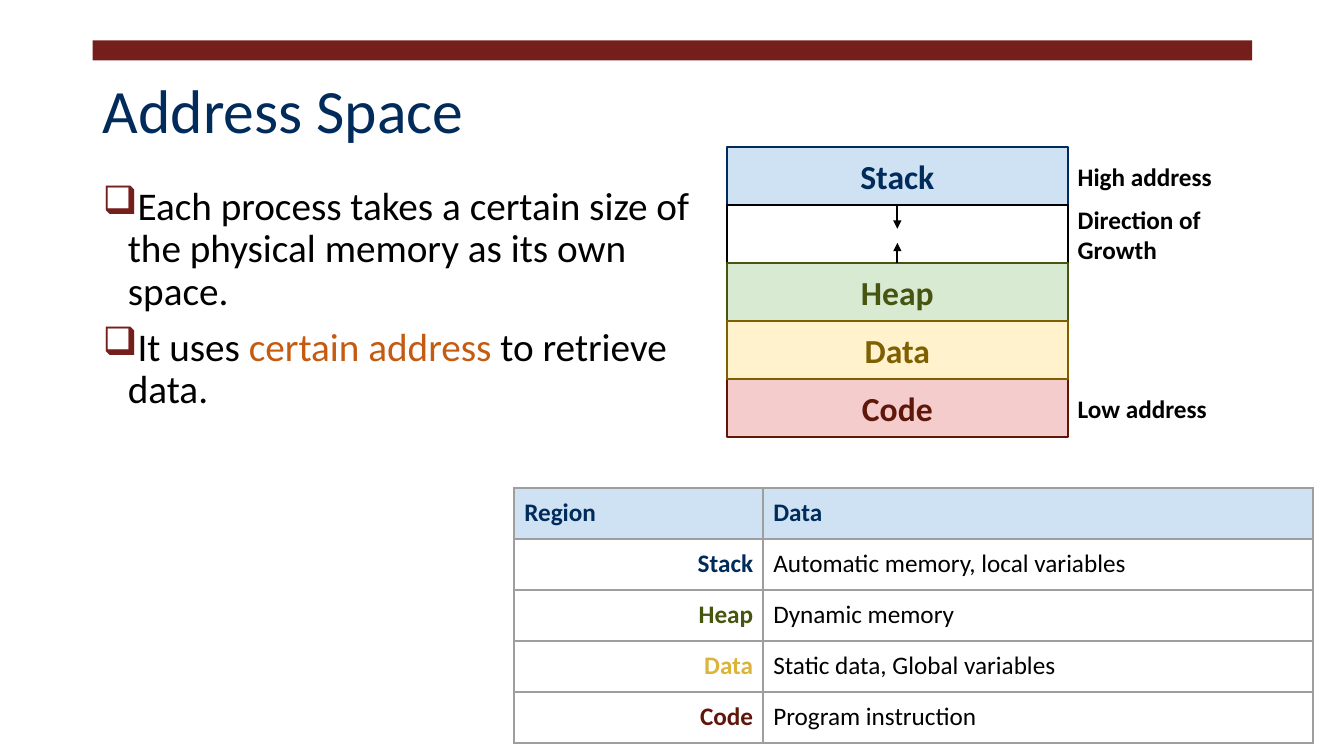
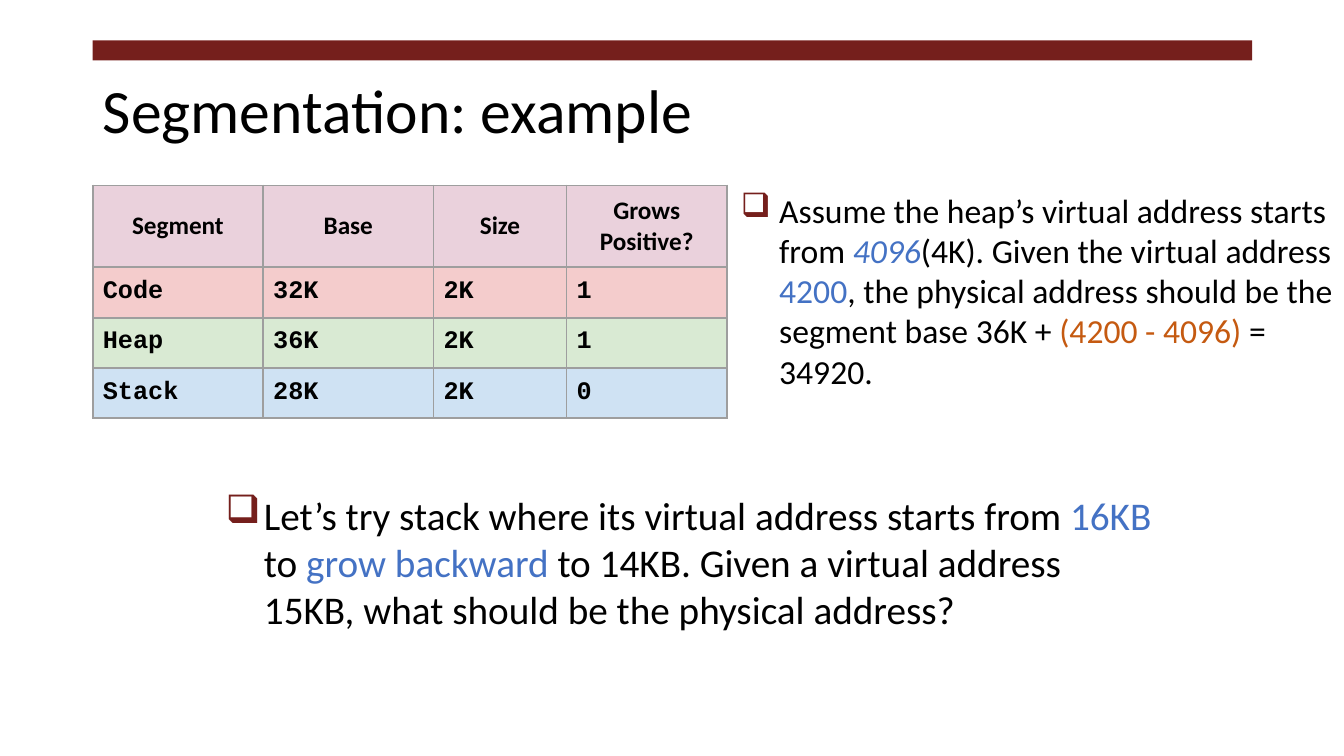
"""Build two slides on process address space and memory segmentation."""
from lxml import etree
from pptx import Presentation
from pptx.dml.color import RGBColor
from pptx.enum.shapes import MSO_CONNECTOR, MSO_SHAPE
from pptx.enum.text import MSO_ANCHOR, MSO_AUTO_SIZE, PP_ALIGN
from pptx.oxml.ns import qn
from pptx.util import Inches, Pt

LEFT, CENTER, RIGHT = PP_ALIGN.LEFT, PP_ALIGN.CENTER, PP_ALIGN.RIGHT
TOP, MIDDLE = MSO_ANCHOR.TOP, MSO_ANCHOR.MIDDLE
RECT, STRAIGHT = MSO_SHAPE.RECTANGLE, MSO_CONNECTOR.STRAIGHT
NO_FIT = MSO_AUTO_SIZE.NONE

BLACK, NAVY, MAROON, GRAY = "000000", "002B5B", "751F1C", "9E9E9E"
ORANGE, BLUE, PINK = "C55A11", "4472C4", "EAD1DC"
OLIVE, BROWN, GOLD, DARK_RED = "465510", "7F6000", "DCB439", "5F1709"
SKY, GREEN, CREAM, ROSE = "CFE2F3", "D9EAD3", "FFF2CC", "F4CCCC"
MARGIN, BAND_TOP, BAND_W = 0.92, 0.4, 11.5
MAP_X, MAP_Y, MAP_W, MAP_ROW = 7.21, 1.46, 3.38, 0.575
PAD = Inches(0.1)


def rgb(code):
    """Return the colour of a hex string."""
    return RGBColor.from_string(code)


def write(tf, *paras, size=18, color=BLACK, bold=False, font="Calibri", align=LEFT,
          anchor=TOP, pad=PAD, spacing=None, before=0, indent=0):
    """Fill a text frame; a paragraph is a string or a list of (text, colour, italic) runs."""
    tf.word_wrap = True
    tf.auto_size = NO_FIT
    tf.vertical_anchor = anchor
    tf.margin_left = tf.margin_right = PAD
    tf.margin_top = tf.margin_bottom = pad
    for i, runs in enumerate(paras):
        p = tf.add_paragraph() if i else tf.paragraphs[0]
        p.alignment = align
        p.space_before = Pt(before)
        if spacing:
            p.line_spacing = spacing
        if indent:
            pPr = p._p.get_or_add_pPr()
            pPr.set("marL", str(Inches(indent)))
            pPr.set("indent", str(-Inches(indent)))
            bu_color = etree.SubElement(pPr, qn("a:buClr"))
            etree.SubElement(bu_color, qn("a:srgbClr"), val=MAROON)
            etree.SubElement(pPr, qn("a:buChar"), char="❑")
        for text, run_color, italic in [(runs, color, False)] if isinstance(runs, str) else runs:
            r = p.add_run()
            r.text = text
            r.font.name, r.font.size = font, Pt(size)
            r.font.bold, r.font.italic = bold, italic
            r.font.color.rgb = rgb(run_color)


prs = Presentation()
prs.slide_width, prs.slide_height = Inches(13.33), Inches(7.5)
layout = prs.slide_layouts[5]

slides = []
for title, color in [("Address Space", NAVY), ("Segmentation: example", BLACK)]:
    s = prs.slides.add_slide(layout)
    sp = s.shapes.title
    sp.left, sp.top = Inches(MARGIN), Inches(BAND_TOP)
    sp.width, sp.height = Inches(BAND_W), Inches(1.45)
    write(sp.text_frame, title, size=44, color=color, anchor=MIDDLE, spacing=0.9)
    slides.append(s)
space, segments = slides

band = space.shapes.add_shape(RECT, Inches(MARGIN), Inches(BAND_TOP), Inches(BAND_W), Inches(0.2))
band.shadow.inherit = False
band.fill.solid()
band.fill.fore_color.rgb = rgb(MAROON)
band.line.fill.background()
layout.shapes.element.append(band.element)

bullets = [
    (space, (MARGIN, 1.75, 6.12, 5.35),
     ["Each process takes a certain size of the physical memory as its own space.",
      [("It uses ", BLACK, False), ("certain address", ORANGE, False),
       (" to retrieve data.", BLACK, False)]],
     dict(size=28, spacing=0.9, before=10, indent=0.25)),
    (segments, (7.25, 1.83, 6.09, 2.12),
     [[("Assume the heap’s virtual address starts from ", BLACK, False), ("4096", BLUE, True),
       ("(4K). Given the virtual address ", BLACK, False), ("4200", BLUE, False),
       (", the physical address should be the segment base 36K + ", BLACK, False),
       ("(4200 - 4096) ", ORANGE, False), ("= 34920.", BLACK, False)]],
     dict(size=24, pad=Inches(0.05), indent=0.38)),
    (segments, (2.14, 4.82, 9.43, 1.51),
     [[("Let’s try stack where its virtual address starts from ", BLACK, False),
       ("16KB ", BLUE, False), ("to ", BLACK, False), ("grow backward ", BLUE, False),
       ("to 14KB. Given a virtual address 15KB, what should be the physical address?",
        BLACK, False)]],
     dict(size=28, pad=Inches(0.05), indent=0.38)),
]
for s, box, paras, style in bullets:
    sp = s.shapes.add_textbox(*map(Inches, box))
    write(sp.text_frame, *paras, **style)

regions = {}
for row, name, fill, ink in [(0, "Stack", SKY, NAVY), (1, "", None, BLACK),
                             (2, "Heap", GREEN, OLIVE), (4, "Code", ROSE, DARK_RED),
                             (3, "Data", CREAM, BROWN)]:
    sp = space.shapes.add_shape(RECT, Inches(MAP_X), Inches(MAP_Y + row * MAP_ROW),
                                Inches(MAP_W), Inches(MAP_ROW))
    sp.shadow.inherit = False
    sp.line.color.rgb, sp.line.width = rgb(ink), Pt(1.5)
    if fill:
        sp.fill.solid()
        sp.fill.fore_color.rgb = rgb(fill)
        write(sp.text_frame, name, size=24, color=ink, bold=True, align=CENTER, anchor=MIDDLE)
    else:
        sp.fill.background()
    regions[name] = sp

for row, label in [(0, "High address"), (1, "Direction of Growth"), (4, "Low address")]:
    sp = space.shapes.add_textbox(Inches(MAP_X + MAP_W), Inches(MAP_Y + row * MAP_ROW),
                                  Inches(2.24), Inches(MAP_ROW))
    write(sp.text_frame, label, bold=True, anchor=MIDDLE)

mid = Inches(MAP_X + MAP_W / 2)
for name, side, tip in [("Stack", 2, 2.27), ("Heap", 0, 2.41)]:
    arrow = space.shapes.add_connector(STRAIGHT, mid, 0, mid, Inches(tip))
    arrow.begin_connect(regions[name], side)
    arrow.line.color.rgb, arrow.line.width = rgb(BLACK), Pt(1.5)
    etree.SubElement(arrow.line._get_or_add_ln(), qn("a:tailEnd"), type="triangle")
    etree.SubElement(arrow._element.spPr, qn("a:effectLst"))

head = dict(color=NAVY, bold=True)
region_rows = [[("Region", SKY, head), ("Data", SKY, head)]]
for name, ink, data in [("Stack", NAVY, "Automatic memory, local variables"),
                        ("Heap", OLIVE, "Dynamic memory"),
                        ("Data", GOLD, "Static data, Global variables"),
                        ("Code", DARK_RED, "Program instruction")]:
    region_rows.append([(name, None, dict(color=ink, bold=True, align=RIGHT)), (data, None, {})])

head = dict(bold=True, align=CENTER, anchor=MIDDLE)
segment_rows = [[(t, PINK, head) for t in ("Segment", "Base", "Size", "Grows Positive?")]]
for fill, *values in [(ROSE, "Code", "32K", "2K", "1"), (GREEN, "Heap", "36K", "2K", "1"),
                      (SKY, "Stack", "28K", "2K", "0")]:
    segment_rows.append([(v, fill, dict(bold=True, font="Courier New")) for v in values])

for s, left, top, widths, heights, rows in [
        (space, 5.1, 4.84, [2.47, 5.45], [0.5] * 5, region_rows),
        (segments, MARGIN, 1.84, [1.69, 1.69, 1.32, 1.59], [0.8] + [0.5] * 3, segment_rows)]:
    table = s.shapes.add_table(len(rows), len(widths), Inches(left), Inches(top),
                               Inches(sum(widths)), Inches(sum(heights))).table
    table.first_row = table.horz_banding = False
    for col, width in zip(table.columns, widths):
        col.width = Inches(width)
    for i, (row, height) in enumerate(zip(rows, heights)):
        table.rows[i].height = Inches(height)
        for j, (text, fill, style) in enumerate(row):
            cell = table.cell(i, j)
            cell.margin_left = cell.margin_right = cell.margin_top = cell.margin_bottom = PAD
            cell.vertical_anchor = style.get("anchor", TOP)
            write(cell.text_frame, text, **style)
            tcPr = cell._tc.get_or_add_tcPr()
            for side in ("lnL", "lnR", "lnT", "lnB"):
                ln = etree.SubElement(tcPr, qn("a:" + side), w=str(Pt(1.5)))
                etree.SubElement(etree.SubElement(ln, qn("a:solidFill")), qn("a:srgbClr"), val=GRAY)
            if fill:
                cell.fill.solid()
                cell.fill.fore_color.rgb = rgb(fill)
            else:
                cell.fill.background()

prs.save("out.pptx")
